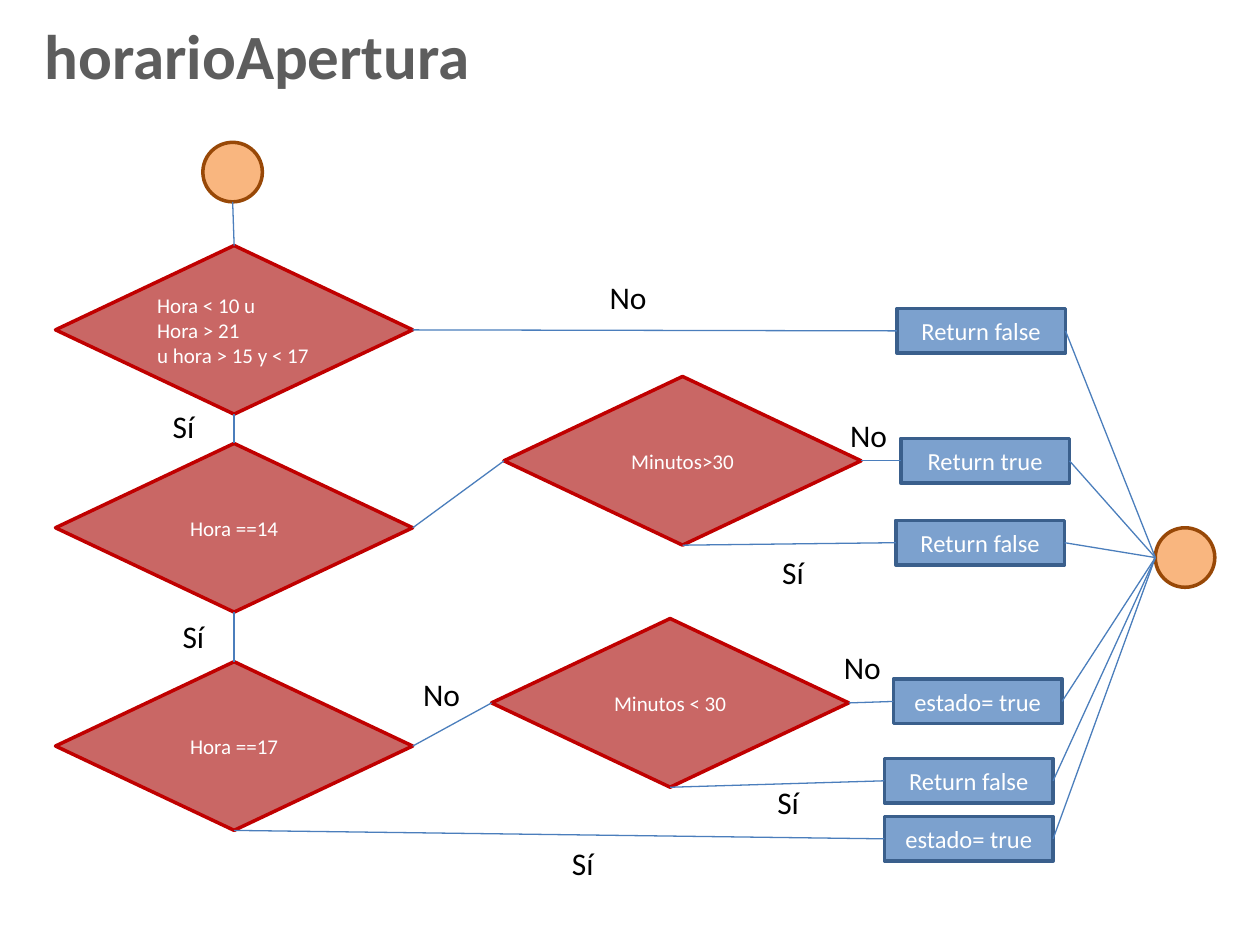
from pptx import Presentation
from pptx.dml.color import RGBColor
from pptx.enum.shapes import MSO_CONNECTOR, MSO_SHAPE
from pptx.enum.text import MSO_ANCHOR, PP_ALIGN
from pptx.oxml.ns import qn
from pptx.util import Cm, Pt

DECISION = MSO_SHAPE.FLOWCHART_DECISION
PROCESS = MSO_SHAPE.FLOWCHART_PROCESS
TERMINAL = MSO_SHAPE.FLOWCHART_CONNECTOR
STRAIGHT = MSO_CONNECTOR.STRAIGHT
LEFT, CENTER = PP_ALIGN.LEFT, PP_ALIGN.CENTER
MIDDLE, TOP_ANCHOR = MSO_ANCHOR.MIDDLE, MSO_ANCHOR.TOP
TOP_SIDE, LEFT_SIDE, BOTTOM_SIDE, RIGHT_SIDE = range(4)

FONT = "Calibri"
COLORS = {
    "title": "5D5D5D", "label": "000000", "white": "FFFFFF", "line": "4B7EBC",
    "decision": "C96765", "decision_edge": "C00000",
    "process": "7CA1CE", "process_edge": "3A5F8C",
    "terminal": "F9B67F", "terminal_edge": "984807",
}

# Positions and sizes are in centimetres.
TITLE = ("horarioApertura", 0.48, 0.2, 9.42, 1.8)
DECISION_SIZE, PROCESS_SIZE, TERMINAL_SIZE = (7.2, 3.4), (3.4, 0.9), (1.2, 1.2)
COLUMN = 1.12

DECISIONS = {  # name: (text, left, top, alignment)
    "opening": ("Hora < 10 u\nHora > 21\nu hora > 15 y < 17", COLUMN, 4.95, LEFT),
    "minutes_14": ("Minutos>30", 10.16, 7.59, CENTER),
    "minutes_17": ("Minutos < 30", 9.91, 12.47, CENTER),
    "hour_17": ("Hora ==17", COLUMN, 13.34, CENTER),
    "hour_14": ("Hora ==14", COLUMN, 8.94, CENTER),
}
RESULTS = {  # name: (text, left, top)
    "closed": ("Return false", 18.08, 6.22),
    "open_14": ("Return true", 18.16, 8.84),
    "closed_14": ("Return false", 18.06, 10.49),
    "open_17": ("estado= true", 18.01, 13.69),
    "closed_17": ("Return false", 17.83, 15.29),
    "open_later": ("estado= true", 17.83, 16.46),
}
TERMINALS = {"start": (4.09, 2.87), "end": (23.29, 10.64)}

LINKS = [  # (from, side, to, side)
    ("start", BOTTOM_SIDE, "opening", TOP_SIDE),
    ("opening", BOTTOM_SIDE, "hour_14", TOP_SIDE),
    ("hour_14", BOTTOM_SIDE, "hour_17", TOP_SIDE),
    ("opening", RIGHT_SIDE, "closed", LEFT_SIDE),
    ("hour_14", RIGHT_SIDE, "minutes_14", LEFT_SIDE),
    ("minutes_14", RIGHT_SIDE, "open_14", LEFT_SIDE),
    ("minutes_14", BOTTOM_SIDE, "closed_14", LEFT_SIDE),
    ("hour_17", RIGHT_SIDE, "minutes_17", LEFT_SIDE),
    ("minutes_17", BOTTOM_SIDE, "closed_17", LEFT_SIDE),
    ("hour_17", BOTTOM_SIDE, "open_later", LEFT_SIDE),
    ("minutes_17", RIGHT_SIDE, "open_17", LEFT_SIDE),
] + [(name, RIGHT_SIDE, "end", LEFT_SIDE) for name in RESULTS]

LABEL_HEIGHT = 1.02
LABELS = [  # (text, width, positions)
    ("Sí", 1.0, [(3.23, 8.08), (3.43, 12.32), (11.28, 16.89),
                 (15.52, 11.02), (15.42, 15.67)]),
    ("No", 1.7, [(8.28, 13.49), (12.04, 5.49), (16.89, 8.26), (16.76, 12.93)]),
]


def rgb(name):
    return RGBColor.from_string(COLORS[name])


def write(sp, text, *, size, color, bold=False, align=CENTER, anchor=MIDDLE, wrap=True):
    tf = sp.text_frame
    tf.word_wrap = wrap
    tf.vertical_anchor = anchor
    for i, line in enumerate(text.split("\n")):
        p = tf.add_paragraph() if i else tf.paragraphs[0]
        p.alignment = align
        r = p.add_run()
        r.text = line
        r.font.name, r.font.size, r.font.bold = FONT, Pt(size), bold
        r.font.color.rgb = rgb(color)


def add_node(slide, kind, left, top, size, color):
    sp = slide.shapes.add_shape(kind, Cm(left), Cm(top), *map(Cm, size))
    sp.shadow.inherit = False
    sp.fill.solid()
    sp.fill.fore_color.rgb = rgb(color)
    sp.line.color.rgb = rgb(color + "_edge")
    sp.line.width = Pt(2)
    return sp


def add_label(slide, text, left, top, width, height, **style):
    sp = slide.shapes.add_textbox(Cm(left), Cm(top), Cm(width), Cm(height))
    write(sp, text, anchor=TOP_ANCHOR, wrap=False, **style)


def side_point(sp, side):
    x, y = sp.left + sp.width // 2, sp.top + sp.height // 2
    return {
        TOP_SIDE: (x, sp.top),
        LEFT_SIDE: (sp.left, y),
        BOTTOM_SIDE: (x, sp.top + sp.height),
        RIGHT_SIDE: (sp.left + sp.width, y),
    }[side]


def add_link(slide, nodes, source, source_side, target, target_side):
    """Join two nodes; circles number their sites differently and stay unglued."""
    line = slide.shapes.add_connector(
        STRAIGHT,
        *side_point(nodes[source], source_side),
        *side_point(nodes[target], target_side),
    )
    if source not in TERMINALS:
        line.begin_connect(nodes[source], source_side)
    if target not in TERMINALS:
        line.end_connect(nodes[target], target_side)
    line.line.color.rgb = rgb("line")
    line.line.width = Pt(0.75)
    spPr = line._element.spPr
    spPr.append(spPr.makeelement(qn("a:effectLst"), {}))


def main():
    prs = Presentation()
    prs.slide_width, prs.slide_height = Cm(25.4), Cm(19.05)
    slide = prs.slides.add_slide(prs.slide_layouts[6])

    nodes = {}
    for name, (text, left, top, align) in DECISIONS.items():
        nodes[name] = add_node(slide, DECISION, left, top, DECISION_SIZE, "decision")
        write(nodes[name], text, size=12, color="white", align=align)
    for name, (text, left, top) in RESULTS.items():
        nodes[name] = add_node(slide, PROCESS, left, top, PROCESS_SIZE, "process")
        write(nodes[name], text, size=14, color="white")
    for name, (left, top) in TERMINALS.items():
        nodes[name] = add_node(slide, TERMINAL, left, top, TERMINAL_SIZE, "terminal")

    add_label(slide, *TITLE, size=36, color="title", bold=True)
    for link in LINKS:
        add_link(slide, nodes, *link)
    for text, width, positions in LABELS:
        for left, top in positions:
            add_label(slide, text, left, top, width, LABEL_HEIGHT,
                      size=18, color="label", align=LEFT)

    prs.save("out.pptx")


if __name__ == "__main__":
    main()
